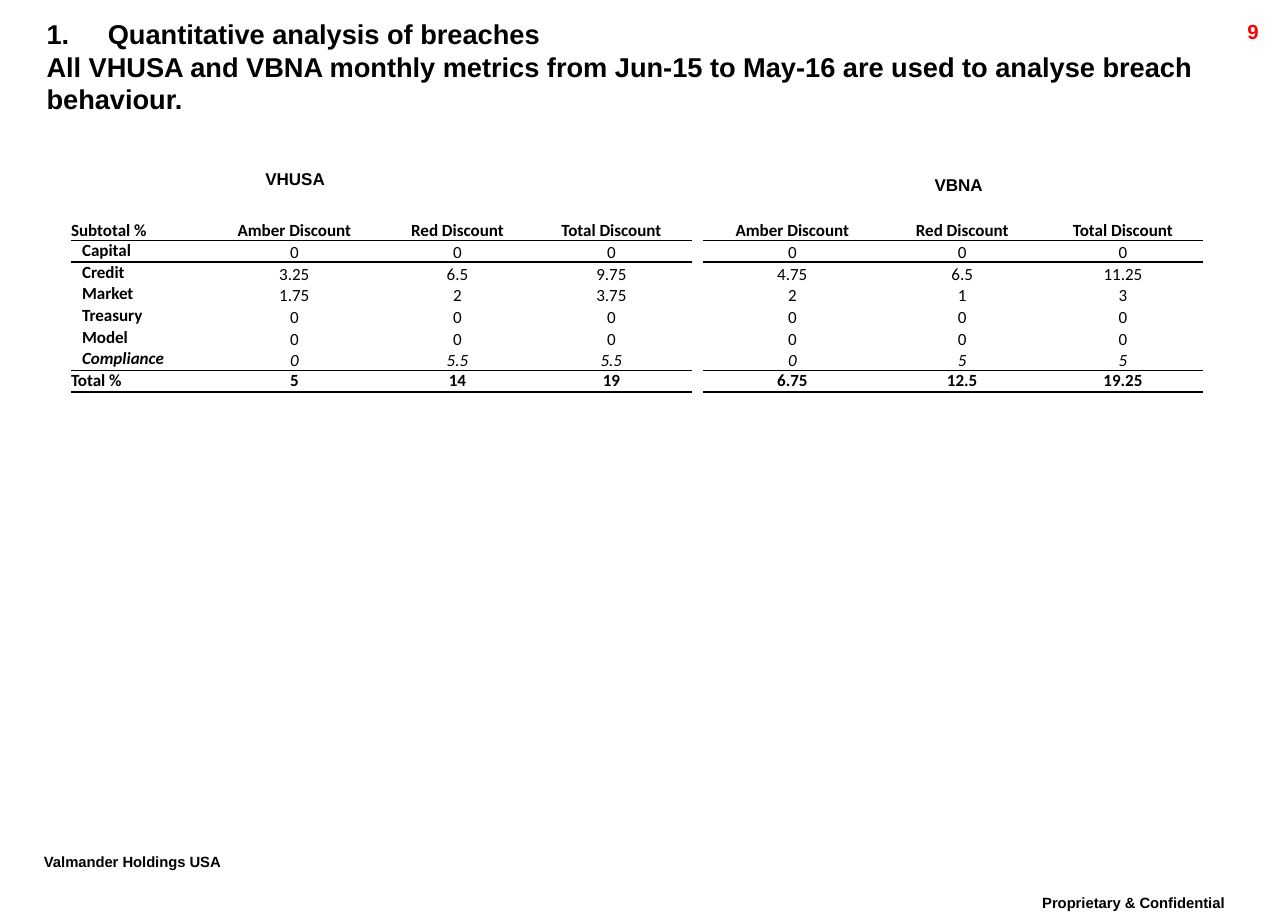
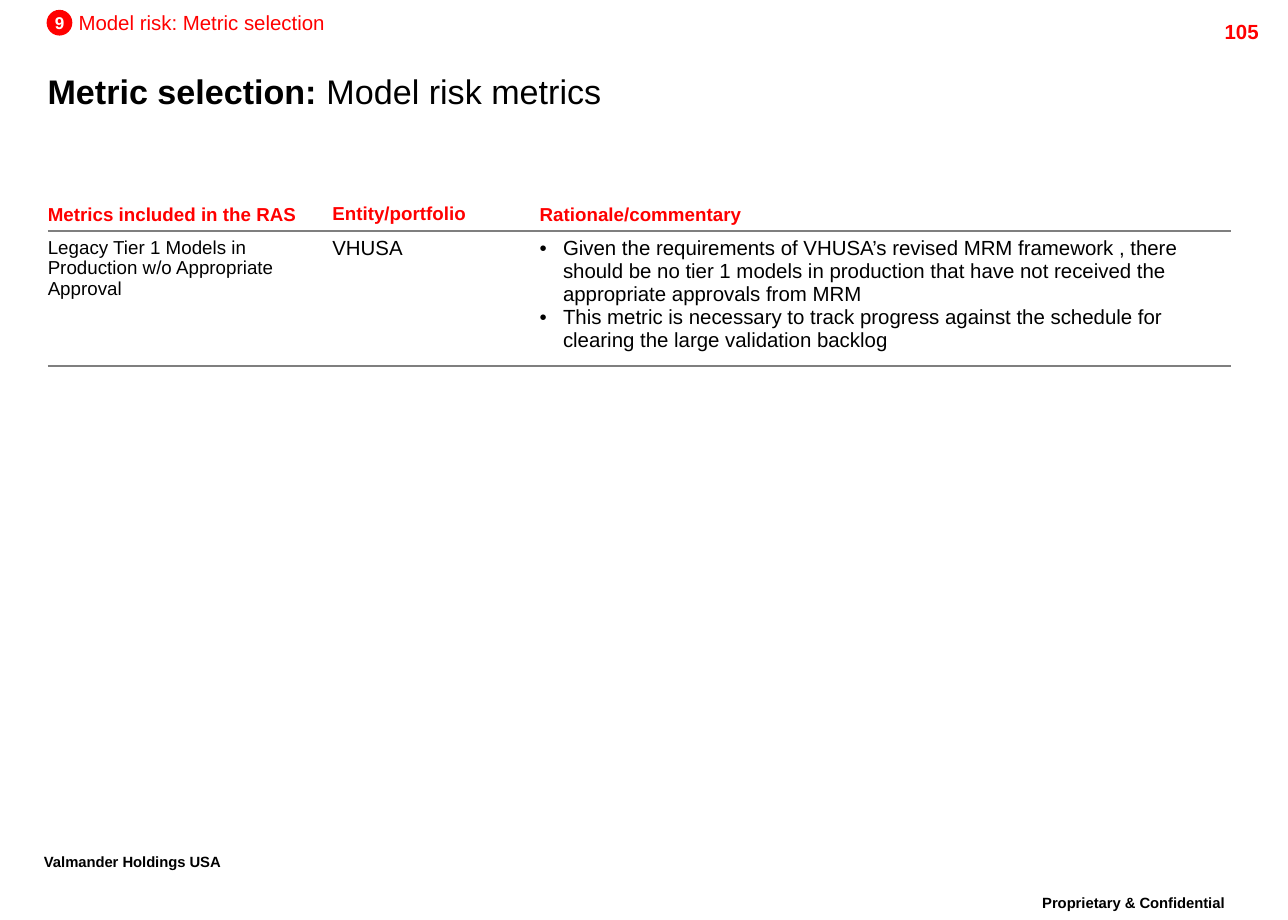
"""Build two risk-metric slides that share page numbers and footers."""
from dataclasses import dataclass

from lxml import etree
from pptx import Presentation, util as u
from pptx.dml.color import RGBColor
from pptx.enum import shapes, text
from pptx.oxml import ns

LEFT, MID, RIGHT = text.PP_ALIGN.LEFT, text.PP_ALIGN.CENTER, text.PP_ALIGN.RIGHT
TOP, CORE, LOW = (text.MSO_ANCHOR.TOP, text.MSO_ANCHOR.MIDDLE,
                  text.MSO_ANCHOR.BOTTOM)
PLAIN = "{2D5ABB26-0587-4C30-8999-92F81FD0307C}"


@dataclass(frozen=True)
class Theme:
    """Hold the page size, colours, fonts and type sizes."""
    wide: float = 10.5
    high: float = 7.5
    ink: str = "000000"
    red: str = "FF0000"
    white: str = "FFFFFF"
    rule: str = "7F7F7F"
    sans: str = "Arial"
    grid: str = "Calibri"
    title: int = 20
    head: int = 16
    foot: int = 15
    body: int = 12
    label: int = 11
    small: int = 10
    tight: float = 0.86


T = Theme()


def across(share):
    """Turn a percentage of the slide width into a length."""
    return u.Inches(T.wide * share / 100)


def down(share):
    """Turn a percentage of the slide height into a length."""
    return u.Inches(T.high * share / 100)


def place(x, y, w, h):
    """Turn four percentages into a left, top, width and height."""
    return across(x), down(y), across(w), down(h)


def node(up, tag, **attrs):
    """Append a drawing element to its parent."""
    return etree.SubElement(up, ns.qn("a:" + tag), attrs)


def mark(para, sign, hang):
    """Give a paragraph a hanging bullet, or a number when sign is empty."""
    props = para._p.get_or_add_pPr()
    props.set("marL", str(u.Inches(hang)))
    props.set("indent", str(-u.Inches(hang)))
    if sign:
        node(node(props, "buClr"), "srgbClr", val=T.ink)
        node(props, "buFont", typeface=T.sans)
        node(props, "buChar", char=sign)
    else:
        node(props, "buAutoNum", type="arabicPeriod")


def style(para, size, color=T.ink, bold=False, italic=False, face=T.sans,
          align=LEFT, lead=1.0):
    """Set the font, alignment and line spacing of a paragraph."""
    para.alignment, para.line_spacing = align, lead
    font = para.font
    font.name, font.size = face, u.Pt(size)
    font.bold, font.italic = bold, italic
    font.color.rgb = RGBColor.from_string(color)


def write(frame, lines, size, signs=None, hang=0.19, **look):
    """Write paragraphs, with a bullet wherever signs has an entry."""
    for i, line in enumerate(lines):
        para = frame.add_paragraph() if i else frame.paragraphs[0]
        if line:
            para.add_run().text = line
        else:
            para._p.get_or_add_endParaRPr().set("sz", str(size * 100))
        if signs and i in signs:
            mark(para, signs[i], hang)
        style(para, size, **look)


def inset(frame, left=0, rest=0):
    """Set the margins of a text frame or table cell."""
    frame.margin_left = u.Inches(left)
    frame.margin_top = frame.margin_right = frame.margin_bottom = u.Inches(rest)


def box(slide, spot, lines, size, flush=False, **look):
    """Add a wrapped text box and return its frame."""
    frame = slide.shapes.add_textbox(*place(*spot)).text_frame
    frame.word_wrap = True
    if flush:
        inset(frame)
    write(frame, lines, size, **look)
    return frame


def disc(slide, spot, sign):
    """Add a red disc with a white number."""
    shape = slide.shapes.add_shape(shapes.MSO_SHAPE.OVAL, *place(*spot))
    shape.shadow.inherit = False
    shape.fill.solid()
    shape.fill.fore_color.rgb = RGBColor.from_string(T.red)
    shape.line.fill.background()
    frame = shape.text_frame
    frame.word_wrap, frame.vertical_anchor = False, CORE
    inset(frame)
    write(frame, [sign], T.small, color=T.white, bold=True, align=MID)


def edge(cell, tag, width, color):
    """Draw one border of a table cell."""
    line = node(cell._tc.get_or_add_tcPr(), tag, w=str(u.Pt(width)))
    node(node(line, "solidFill"), "srgbClr", val=color)


def table(slide, x, y, cols, rows, rules, color, skip=()):
    """Add an unstyled table ruled at the given row edges."""
    spot = place(x, y, sum(cols), sum(rows))
    made = slide.shapes.add_table(len(rows), len(cols), *spot).table
    made.first_row = made.horz_banding = False
    made._tbl.tblPr.find(ns.qn("a:tableStyleId")).text = PLAIN
    for col, share in zip(made.columns, cols):
        col.width = across(share)
    for r, share in enumerate(rows):
        made.rows[r].height = down(share)
        for c in range(len(cols)):
            cell = made.cell(r, c)
            for tag, at in (("lnT", r), ("lnB", r + 1)):
                if at in rules and c not in skip:
                    edge(cell, tag, rules[at], color)
            cell.fill.background()
    return made


def fill(cell, lines, size, anchor, left=0, rest=0, **look):
    """Write text into a table cell."""
    inset(cell, left, rest)
    cell.vertical_anchor = anchor
    write(cell.text_frame, lines, size, **look)


def page(deck, number):
    """Add a blank slide with the shared footers and page number."""
    slide = deck.slides.add_slide(deck.slide_layouts[6])
    for spot, line, align in (
            ((77.62, 96.67, 20.76, 4.67), "Proprietary & Confidential", MID),
            ((2.48, 92.13, 18.19, 4.67), "Valmander Holdings USA", LEFT)):
        frame = box(slide, spot, [line], T.foot, bold=True, align=align,
                    lead=T.tight)
        run = frame.paragraphs[0].runs[0]
        run._r.get_or_add_rPr().set("baseline", "30000")
    box(slide, (89.14, 1.47, 9.52, 3.2), [number], T.body, color=T.red,
        bold=True, align=RIGHT)
    return slide


def breach(deck):
    """Build the slide that counts breaches by risk type."""
    slide = page(deck, "9")
    box(slide, (3.62, 1.87, 90.29, 10.67),
        ["Quantitative analysis of breaches",
         "All VHUSA and VBNA monthly metrics from Jun-15 to May-16 are used "
         "to analyse breach behaviour."],
        T.head, flush=True, signs={0: ""}, hang=0.5, bold=True)
    for x, y, name in ((16.29, 18, "VHUSA"), (67.81, 18.67, "VBNA")):
        box(slide, (x, y, 13.24, 3.33), [name], T.small, bold=True,
            align=MID, lead=T.tight)
    heads = ["Amber Discount", "Red Discount", "Total Discount"]
    data = [
        ["Subtotal %", *heads, "", *heads],
        ["Capital", "0", "0", "0", "", "0", "0", "0"],
        ["Credit", "3.25", "6.5", "9.75", "", "4.75", "6.5", "11.25"],
        ["Market", "1.75", "2", "3.75", "", "2", "1", "3"],
        ["Treasury", "0", "0", "0", "", "0", "0", "0"],
        ["Model", "0", "0", "0", "", "0", "0", "0"],
        ["Compliance", "0", "5.5", "5.5", "", "0", "5", "5"],
        ["Total %", "5", "14", "19", "", "6.75", "12.5", "19.25"],
    ]
    last = len(data) - 1
    made = table(slide, 5.52, 21.33,
                 [10.38, 13.9, 11.43, 12.48, 0.86, 13.9, 12.48, 12.48],
                 [4.8] + [2.36] * last, {1: 1, last: 0.5, last + 1: 1},
                 T.ink, skip=(4,))
    for r, row in enumerate(data):
        outer = r in (0, last)
        for c, word in enumerate(row):
            core = r == last or (c == 0 and r > 0)
            fill(made.cell(r, c), [word], T.small, CORE if core else LOW,
                 left=0 if c or outer else 0.09, face=T.grid,
                 bold=outer or c == 0, italic=row[0] == "Compliance",
                 align=MID if c else LEFT, lead=T.tight)


def metric(deck):
    """Build the slide that explains the model risk metric."""
    slide = page(deck, "105")
    frame = box(slide, (2.76, 7.6, 97.24, 5.2), ["Metric selection: "],
                T.title, lead=T.tight)
    para = frame.paragraphs[0]
    para.runs[0].font.bold = True
    para.add_run().text = "Model risk metrics"
    made = table(slide, 3.71, 21.33, [21.62, 16.1, 54.19], [3.73, 14.67],
                 {1: 0.75, 2: 0.75}, T.rule)
    heads = ["Metrics included in the RAS", "Entity/portfolio",
             "Rationale/commentary"]
    notes = [
        ["Legacy Tier 1 Models in Production w/o Appropriate Approval"],
        ["VHUSA"],
        ["Given the requirements of VHUSA’s revised MRM framework , there "
         "should be no tier 1 models in production that have not received "
         "the appropriate approvals from MRM",
         "This metric is necessary to track progress against the schedule "
         "for clearing the large validation backlog"],
    ]
    for c, (head, lines) in enumerate(zip(heads, notes)):
        left = 0.05 if c else 0
        fill(made.cell(0, c), [head], T.label, LOW, left, 0.05, color=T.red,
             bold=True, lead=1.0 if c == 1 else T.tight)
        fill(made.cell(1, c), lines, T.body if c else T.label, TOP, left,
             0.05, signs={0: "•", 1: "•"} if c == 2 else None)
    box(slide, (6.1, 1.07, 24, 2.67), ["Model risk: Metric selection"],
        T.body, flush=True, color=T.red)
    disc(slide, (3.62, 1.07, 2, 2.8), "9")


def main():
    """Build and save the deck."""
    deck = Presentation()
    deck.slide_width, deck.slide_height = across(100), down(100)
    breach(deck)
    metric(deck)
    deck.save("out.pptx")


if __name__ == "__main__":
    main()
